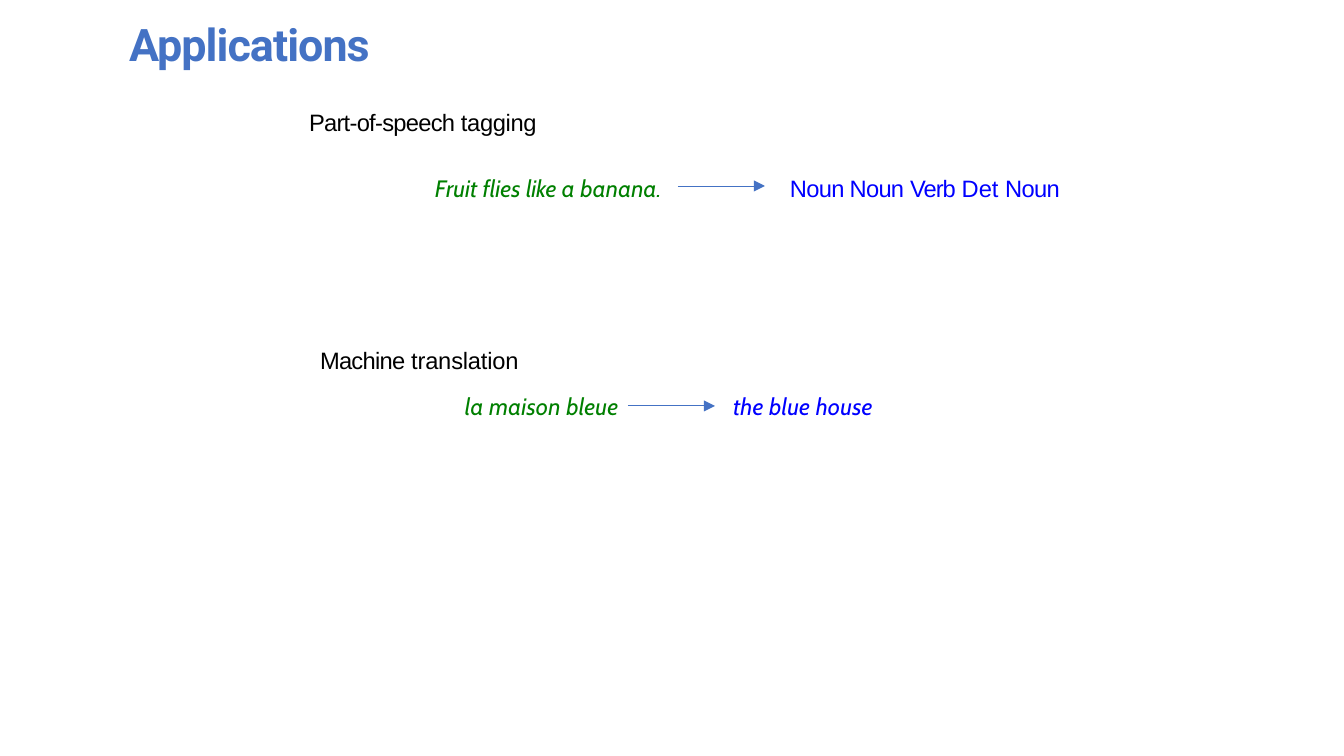
from dataclasses import dataclass

from lxml.etree import SubElement
from pptx import Presentation
from pptx.dml.color import RGBColor
from pptx.enum.shapes import MSO_CONNECTOR as Connector
from pptx.enum.text import MSO_ANCHOR as Anchor
from pptx.oxml.ns import qn
from pptx.util import Emu, Pt

PX = 914400 / 134.4  # EMU in one px


def px(n):
    return Emu(round(n * PX))


@dataclass(frozen=True)
class Theme:
    accent: str = "4472C4"
    label: str = "000000"
    source: str = "008000"
    result: str = "0000FF"
    title_font: str = "Roboto"
    label_font: str = "Arial"
    example_font: str = "Cabin"
    title_size: float = 24
    body_size: float = 12.7
    line_width: float = 0.5


def add_run(p, text, *, font, size, color, bold=False, italic=False, spacing=0):
    """Add one run; spacing between letters is in points."""
    r = p.add_run()
    r.text = text
    r.font.name = font
    r.font.size = Pt(size)
    r.font.bold = bold
    r.font.italic = italic
    r.font.color.rgb = RGBColor.from_string(color)
    r.font._element.set("spc", str(round(spacing * 100)))


class SlideBuilder:
    def __init__(self, prs, theme):
        self.theme = theme
        self.slide = prs.slides.add_slide(prs.slide_layouts[6])

    def text(self, x, y, w, h, runs, anchor=Anchor.TOP, **style):
        """Add a one-line box; runs are (text, letter spacing) pairs."""
        sp = self.slide.shapes.add_textbox(px(x), px(y), px(w), px(h))
        tf = sp.text_frame
        tf.word_wrap = True
        tf.vertical_anchor = anchor
        tf.margin_left, tf.margin_top = px(1), px(2)
        tf.margin_right = tf.margin_bottom = 0
        for text, spacing in runs:
            add_run(tf.paragraphs[0], text, spacing=spacing, **style)

    def title(self, x, y, w, h, text):
        t = self.theme
        self.text(x, y, w, h, [(text, -0.5)], anchor=Anchor.MIDDLE,
                  font=t.title_font, size=t.title_size, color=t.accent, bold=True)

    def plain(self, x, y, w, runs, color):
        t = self.theme
        self.text(x, y, w, 30, runs, font=t.label_font, size=t.body_size, color=color)

    def example(self, x, y, w, runs, color):
        t = self.theme
        self.text(x, y, w, 30, runs, font=t.example_font, size=t.body_size,
                  color=color, italic=True)

    def arrow(self, x, y, length):
        line = self.slide.shapes.add_connector(
            Connector.STRAIGHT, px(x), px(y), px(x + length), px(y))
        line.line.color.rgb = RGBColor.from_string(self.theme.accent)
        line.line.width = Pt(self.theme.line_width)
        SubElement(line.line._get_or_add_ln(), qn("a:tailEnd"), type="triangle")
        SubElement(line._element.spPr, qn("a:effectLst"))


def main():
    prs = Presentation()
    prs.slide_width, prs.slide_height = px(1344), px(756)
    theme = Theme()
    s = SlideBuilder(prs, theme)

    s.title(128, 15, 637, 55, "Applications")

    # Part-of-speech tagging
    s.plain(308, 106, 253, [("Part-of-speech ", -0.4), ("tagging", -0.2)], theme.label)
    s.example(434, 172, 243, [("Fruit flies ", 0), ("like ", -0.1), ("a banana.", 0.1)],
              theme.source)
    s.arrow(678, 186, 87)
    s.plain(789, 172, 278, [("Noun Noun ", -0.4), ("Verb ", -0.5), ("Det ", 0),
                            ("Noun", -0.4)], theme.result)

    # Machine translation
    s.plain(319, 344, 224, [("Machine ", -0.4), ("translation", -0.1)], theme.label)
    s.example(464, 390, 158, [("la maison bleue", 0.1)], theme.source)
    s.arrow(628, 406, 87)
    s.example(732, 390, 148, [("the blue house", 0.1)], theme.result)

    prs.save("out.pptx")


if __name__ == "__main__":
    main()
